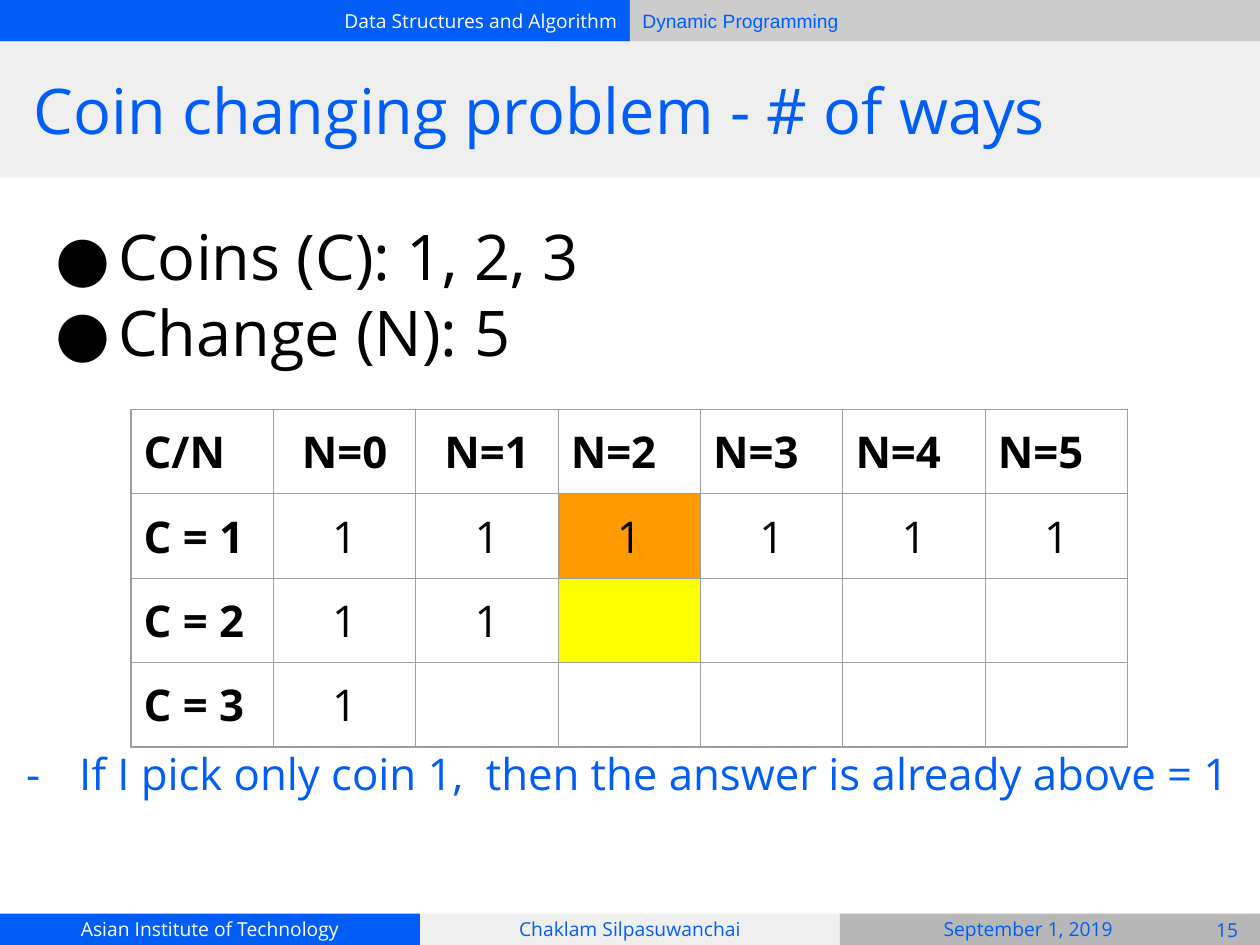
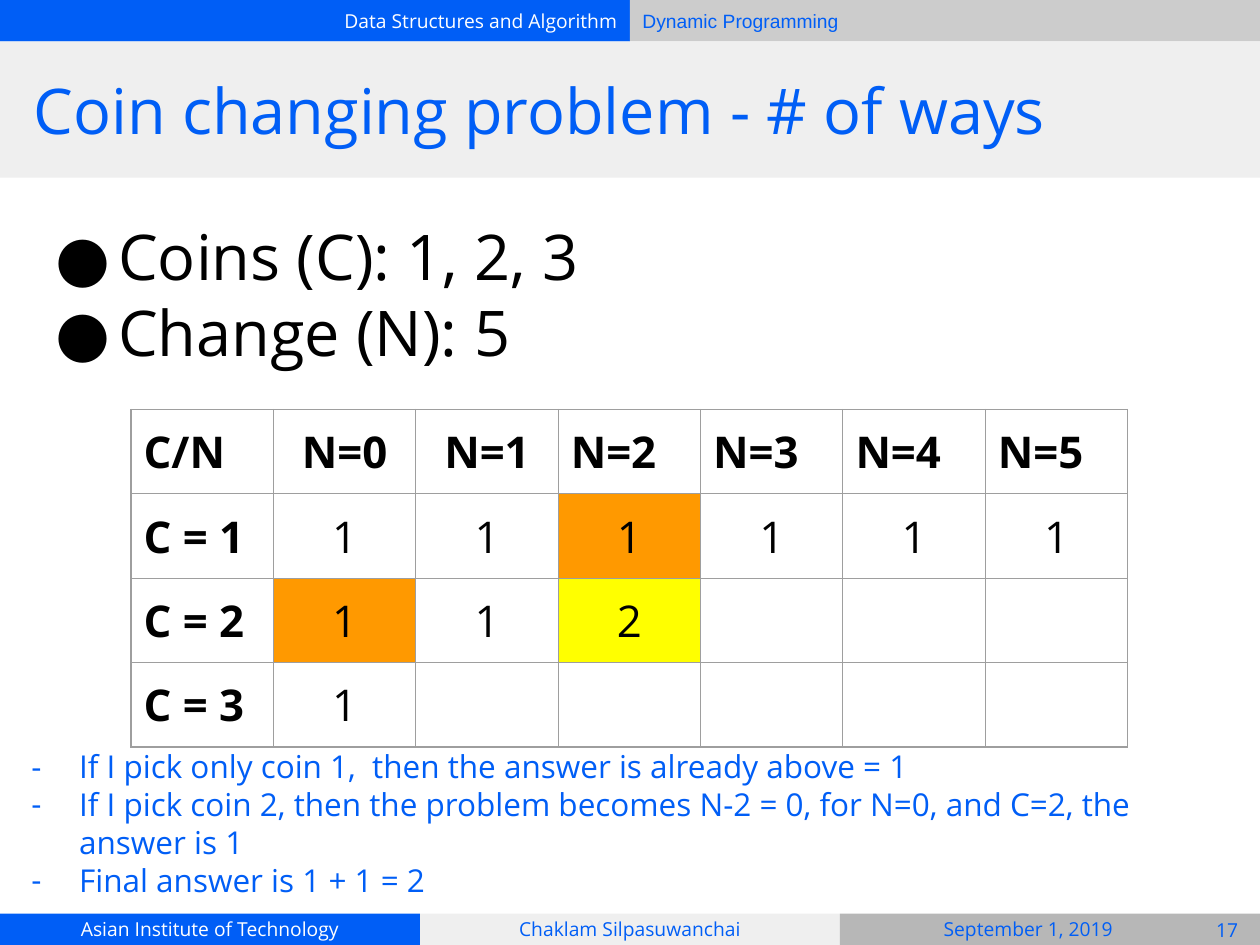
from dataclasses import dataclass

from lxml import etree
from pptx import Presentation
from pptx.dml.color import RGBColor
from pptx.enum.shapes import MSO_SHAPE
from pptx.enum.text import MSO_ANCHOR, PP_ALIGN
from pptx.oxml.ns import qn
from pptx.util import Inches, Pt

RECT = MSO_SHAPE.RECTANGLE
TOP, MIDDLE = MSO_ANCHOR.TOP, MSO_ANCHOR.MIDDLE
LEFT, CENTER, RIGHT = PP_ALIGN.LEFT, PP_ALIGN.CENTER, PP_ALIGN.RIGHT


@dataclass(frozen=True)
class Theme:
    blue: str = "005EF6"
    white: str = "FFFFFF"
    black: str = "000000"
    pale: str = "EFEFEF"
    light: str = "CCCCCC"
    gray: str = "B7B7B7"
    rule: str = "9E9E9E"
    orange: str = "FF9900"
    yellow: str = "FFFF00"
    font: str = "Open Sans"
    plain: str = "Arial"
    big: int = 36
    mid: int = 25
    note: int = 18
    small: int = 11


T = Theme()
WIDE, HIGH = 10, 7.5
HEAD = ["C/N", "N=0", "N=1", "N=2", "N=3", "N=4", "N=5"]
GOALS = ["Coins (C): 1, 2, 3", "Change (N): 5"]
TITLE = "Coin changing problem - # of ways"
FIRST = "If I pick only coin 1,  then the answer is already above = 1"


def add_mark(para, char, indent, color):
    props = para._p.get_or_add_pPr()
    props.set("marL", str(Inches(0.5)))
    props.set("indent", str(-Inches(indent)))
    tint = etree.SubElement(props, qn("a:buClr"))
    etree.SubElement(tint, qn("a:srgbClr"), val=color)
    etree.SubElement(props, qn("a:buFont"), typeface=T.font)
    etree.SubElement(props, qn("a:buChar"), char=char)


def write(frame, text, size=T.small, color=T.blue, font=T.font, bold=False,
          align=LEFT, mark=None, indent=0.5):
    lines = [text] if isinstance(text, str) else text
    for i, line in enumerate(lines):
        para = frame.add_paragraph() if i else frame.paragraphs[0]
        para.alignment = align
        if mark:
            add_mark(para, mark, indent, color)
        run = para.add_run()
        run.text = line
        run.font.size = Pt(size)
        run.font.name = font
        run.font.bold = bold
        run.font.color.rgb = RGBColor.from_string(color)


def add_band(slide, box, fill):
    band = slide.shapes.add_shape(RECT, *map(Inches, box))
    band.shadow.inherit = False
    band.fill.solid()
    band.fill.fore_color.rgb = RGBColor.from_string(fill)
    band.line.fill.background()


def add_label(slide, box, text, anchor=MIDDLE, pad=0.1, **style):
    frame = slide.shapes.add_textbox(*map(Inches, box)).text_frame
    frame.word_wrap = True
    frame.vertical_anchor = anchor
    frame.margin_left = frame.margin_right = Inches(0.1)
    frame.margin_top = frame.margin_bottom = Inches(pad)
    write(frame, text, **style)


def add_header(slide, box):
    x, y, w, h = box
    left, right = (x, y, w / 2, h), (x + w / 2, y, w / 2, h)
    add_band(slide, left, T.blue)
    add_label(slide, left, "Data Structures and Algorithm", color=T.white, align=RIGHT)
    add_band(slide, right, T.light)
    add_label(slide, right, "Dynamic Programming", font=T.plain)


def add_title(slide, box):
    x, y, w, h = box
    add_band(slide, box, T.pale)
    add_label(slide, (x + 0.17, y, w - 0.33, h), TITLE, size=T.big)


def add_footer(slide, box, page):
    x, y, w, h = box
    third = w / 3
    parts = [
        ("Asian Institute of Technology", T.blue, T.white, 0, third),
        ("Chaklam Silpasuwanchai", T.pale, T.blue, 0, third),
        ("September 1, 2019", T.gray, T.blue, 0.08, 2.83),
    ]
    for i, (text, fill, color, shift, width) in enumerate(parts):
        left = x + i * third
        add_band(slide, (left, y, third, h), fill)
        add_label(slide, (left + shift, y, width, h), text, color=color, align=CENTER)
    add_label(slide, (x + w - 0.52, y + 0.01, 0.52, h - 0.01), str(page), align=CENTER)


def add_edges(cell):
    props = cell._tc.get_or_add_tcPr()
    for side in "LRTB":
        edge = etree.SubElement(props, qn(f"a:ln{side}"), w=str(Pt(0.75)))
        fill = etree.SubElement(edge, qn("a:solidFill"))
        etree.SubElement(fill, qn("a:srgbClr"), val=T.rule)


def add_grid(slide, box, ways, fills):
    rows = [HEAD] + [[f"C = {i}", *row] for i, row in enumerate(ways, 1)]
    table = slide.shapes.add_table(len(rows), len(HEAD), *map(Inches, box)).table
    table.first_row = table.horz_banding = False
    for r, row in enumerate(rows):
        for c in range(len(HEAD)):
            cell = table.cell(r, c)
            cell.margin_left = cell.margin_right = Inches(0.1)
            cell.margin_top = cell.margin_bottom = Inches(0.1)
            add_edges(cell)
            if (r, c) in fills:
                cell.fill.solid()
                cell.fill.fore_color.rgb = RGBColor.from_string(fills[r, c])
            else:
                cell.fill.background()
            if c < len(row):
                centred = c in (1, 2) or (r and c)
                write(cell.text_frame, row[c], size=T.mid, color=T.black,
                      bold=r == 0 or c == 0, align=CENTER if centred else LEFT)


def add_slide(deck, page, ways, fills, notes, size, indent):
    slide = deck.slides.add_slide(deck.slide_layouts[6])
    add_header(slide, (0, 0, WIDE, 0.33))
    add_title(slide, (0, 0.33, WIDE, 1.08))
    add_footer(slide, (0, 7.25, WIDE, 0.25), page)
    add_label(slide, (0.34, 1.68, 9.32, 1.55), GOALS, anchor=TOP, pad=0.05,
              size=T.big, color=T.black, mark="●")
    add_grid(slide, (1.04, 3.25, 7.91, 2.68), ways, fills)
    add_label(slide, (0.03, 5.83, 9.93, 0.83), notes, anchor=TOP,
              size=size, mark="-", indent=indent)


def main():
    deck = Presentation()
    deck.slide_width, deck.slide_height = Inches(WIDE), Inches(HIGH)
    ones = ["1"] * 6
    fills = {(1, 3): T.orange, (2, 3): T.yellow}
    add_slide(deck, 15, [ones, ["1", "1"], ["1"]], fills, [FIRST], T.mid, 0.42)
    notes = [
        FIRST,
        "If I pick coin 2, then the problem becomes N-2 = 0, for N=0, and C=2, the answer is 1",
        "Final answer is 1 + 1 = 2",
    ]
    add_slide(deck, 17, [ones, ["1", "1", "2"], ["1"]],
              {**fills, (2, 1): T.orange}, notes, T.note, 0.38)
    deck.save("out.pptx")


if __name__ == "__main__":
    main()
